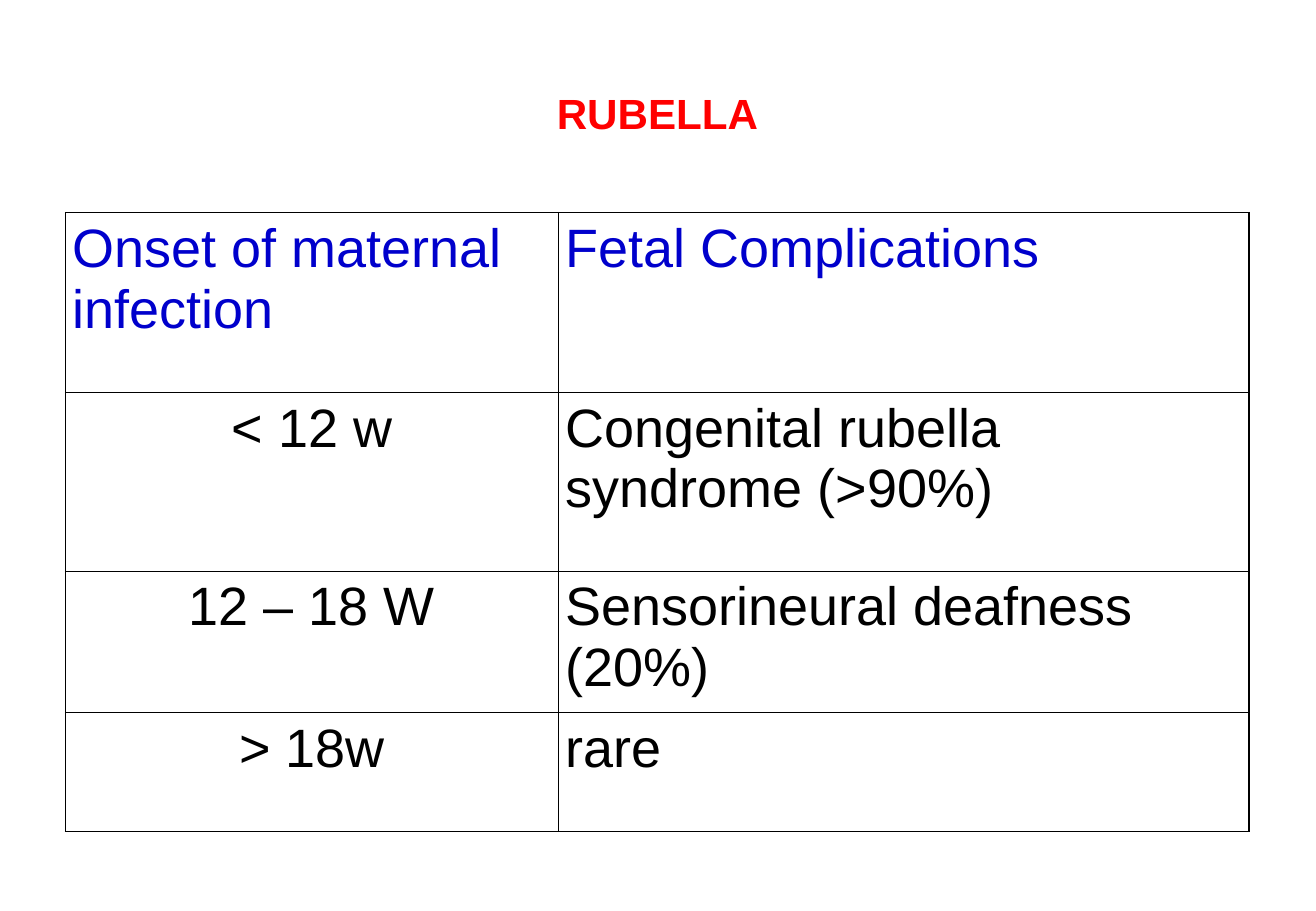
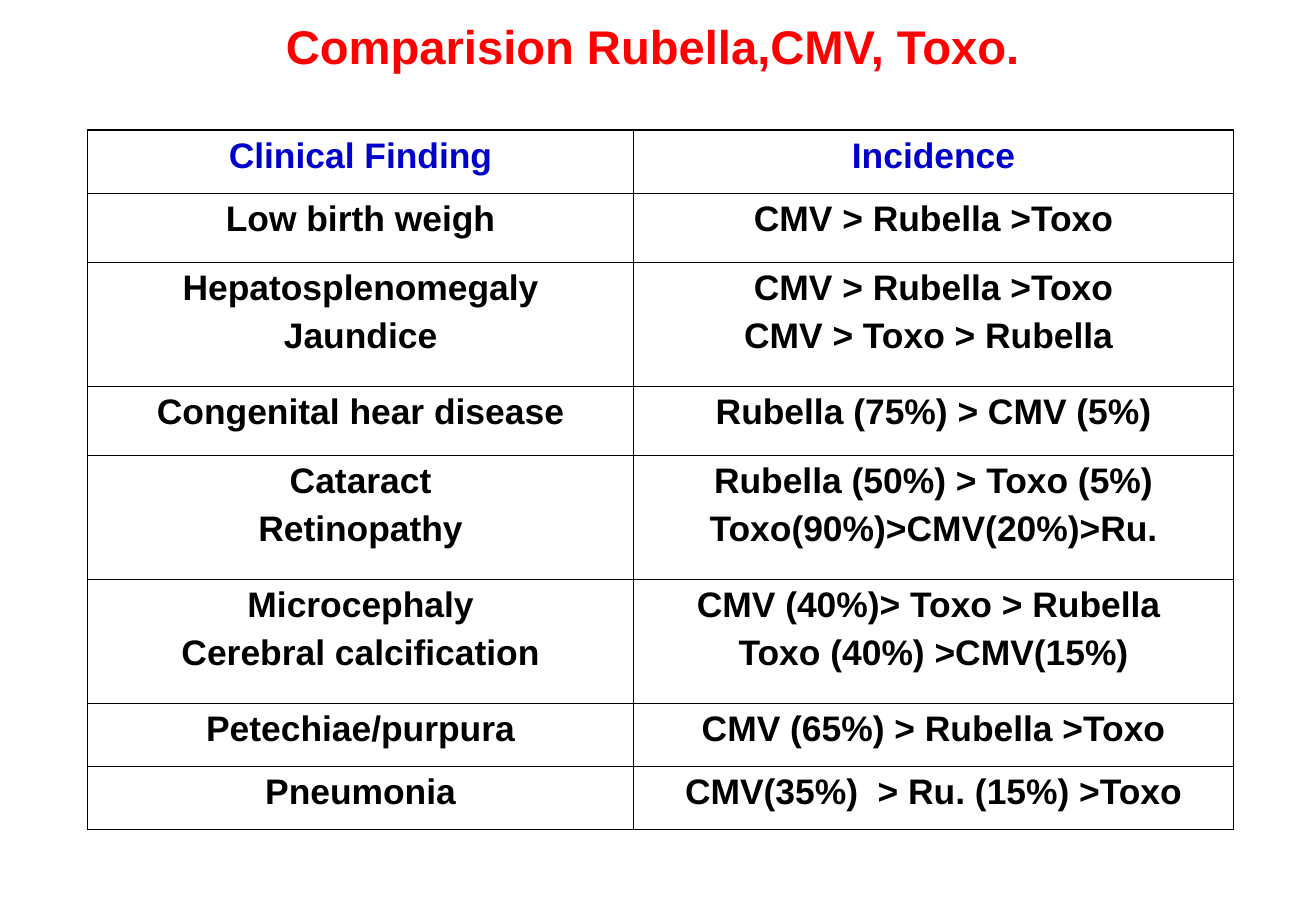
"""Build two slides of tables on congenital infections."""
from lxml.etree import SubElement
from pptx import Presentation
from pptx.dml.color import RGBColor
from pptx.enum.text import MSO_ANCHOR as Anchor, PP_ALIGN as Align
from pptx.oxml.ns import qn
from pptx.util import Pt

PX = 9144
SLIDE_SIZE = (1084, 750)
FONT = "Arial"
COLORS = {"title": "FF0000", "header": "0000CC", "body": "000000", "border": "000000"}
OUTER_BORDER, INNER_BORDER = Pt(1.08), Pt(0.45)
TITLE_SIZE = (975, 125)

RUBELLA_ROWS = [
    ("Onset of maternal infection", "Fetal Complications"),
    ("< 12 w", "Congenital rubella syndrome (>90%)"),
    ("12 – 18 W", "Sensorineural deafness (20%)"),
    ("> 18w", "rare"),
]
COMPARISON_ROWS = [
    ("Clinical Finding", "Incidence"),
    ("Low birth weigh", "CMV > Rubella >Toxo"),
    ("Hepatosplenomegaly\nJaundice", "CMV > Rubella >Toxo\nCMV > Toxo > Rubella "),
    ("Congenital hear disease", "Rubella (75%) > CMV (5%)"),
    ("Cataract\nRetinopathy", "Rubella (50%) > Toxo (5%)\nToxo(90%)>CMV(20%)>Ru."),
    ("Microcephaly\nCerebral calcification", "CMV (40%)> Toxo > Rubella \nToxo (40%) >CMV(15%)"),
    ("Petechiae/purpura", "CMV (65%) > Rubella >Toxo"),
    ("Pneumonia", "CMV(35%)  > Ru. (15%) >Toxo"),
]


def px(*lengths):
    return [length * PX for length in lengths]


def set_margins(target, horizontal, vertical):
    target.margin_left = target.margin_right = horizontal * PX
    target.margin_top = target.margin_bottom = vertical * PX


def style_paragraphs(text_frame, size, color, bold, align, gap=0):
    for index, paragraph in enumerate(text_frame.paragraphs):
        paragraph.alignment = align
        paragraph.space_before = Pt(gap if index else 0)
        font = paragraph.font
        font.name, font.size, font.bold = FONT, Pt(size), bold
        font.color.rgb = RGBColor.from_string(COLORS[color])


def add_title(slide, text, left, top, size):
    frame = slide.shapes.add_textbox(*px(left, top, *TITLE_SIZE)).text_frame
    frame.word_wrap = True
    frame.vertical_anchor = Anchor.MIDDLE
    set_margins(frame, 6, 3)
    frame.text = text
    style_paragraphs(frame, size, "title", True, Align.CENTER)


def set_borders(cell, outer_sides):
    properties = cell._tc.get_or_add_tcPr()
    for side, is_outer in zip("LRTB", outer_sides):
        width = OUTER_BORDER if is_outer else INNER_BORDER
        line = SubElement(properties, qn(f"a:ln{side}"), w=str(width))
        fill = SubElement(line, qn("a:solidFill"))
        SubElement(fill, qn("a:srgbClr"), val=COLORS["border"])


def add_grid(slide, rows, left, top, widths, heights, size, bold, header_align, column_aligns, gap=0):
    frame = slide.shapes.add_table(
        len(rows), len(widths), *px(left, top, sum(widths), sum(heights)))
    table = frame.table
    table.first_row = table.horz_banding = False
    for column, width in zip(table.columns, px(*widths)):
        column.width = width
    for row, height in zip(table.rows, px(*heights)):
        row.height = height
    last_row, last_column = len(rows) - 1, len(widths) - 1
    for r, texts in enumerate(rows):
        for c, text in enumerate(texts):
            cell = table.cell(r, c)
            cell.text = text
            set_margins(cell, 6, 5)
            set_borders(cell, (c == 0, c == last_column, r == 0, r == last_row))
            cell.fill.background()
            color = "body" if r else "header"
            align = column_aligns[c] if r else header_align
            style_paragraphs(cell.text_frame, size, color, bold, align, gap)


def main():
    presentation = Presentation()
    presentation.slide_width, presentation.slide_height = px(*SLIDE_SIZE)
    blank = presentation.slide_layouts[6]

    slide = presentation.slides.add_slide(blank)
    add_title(slide, "RUBELLA", 54, 30, 25)
    add_grid(slide, RUBELLA_ROWS, 54, 175, (406, 569), (148, 147, 113, 98),
             32, False, Align.LEFT, (Align.CENTER, Align.LEFT))

    slide = presentation.slides.add_slide(blank)
    add_title(slide, "Comparision Rubella,CMV, Toxo.", 50, -25, 28)
    add_grid(slide, COMPARISON_ROWS, 72, 107, (450, 494),
             (52, 57, 102, 57, 102, 102, 52, 52),
             21, True, Align.CENTER, (Align.CENTER, Align.CENTER), gap=5.2)

    presentation.save("out.pptx")


if __name__ == "__main__":
    main()
